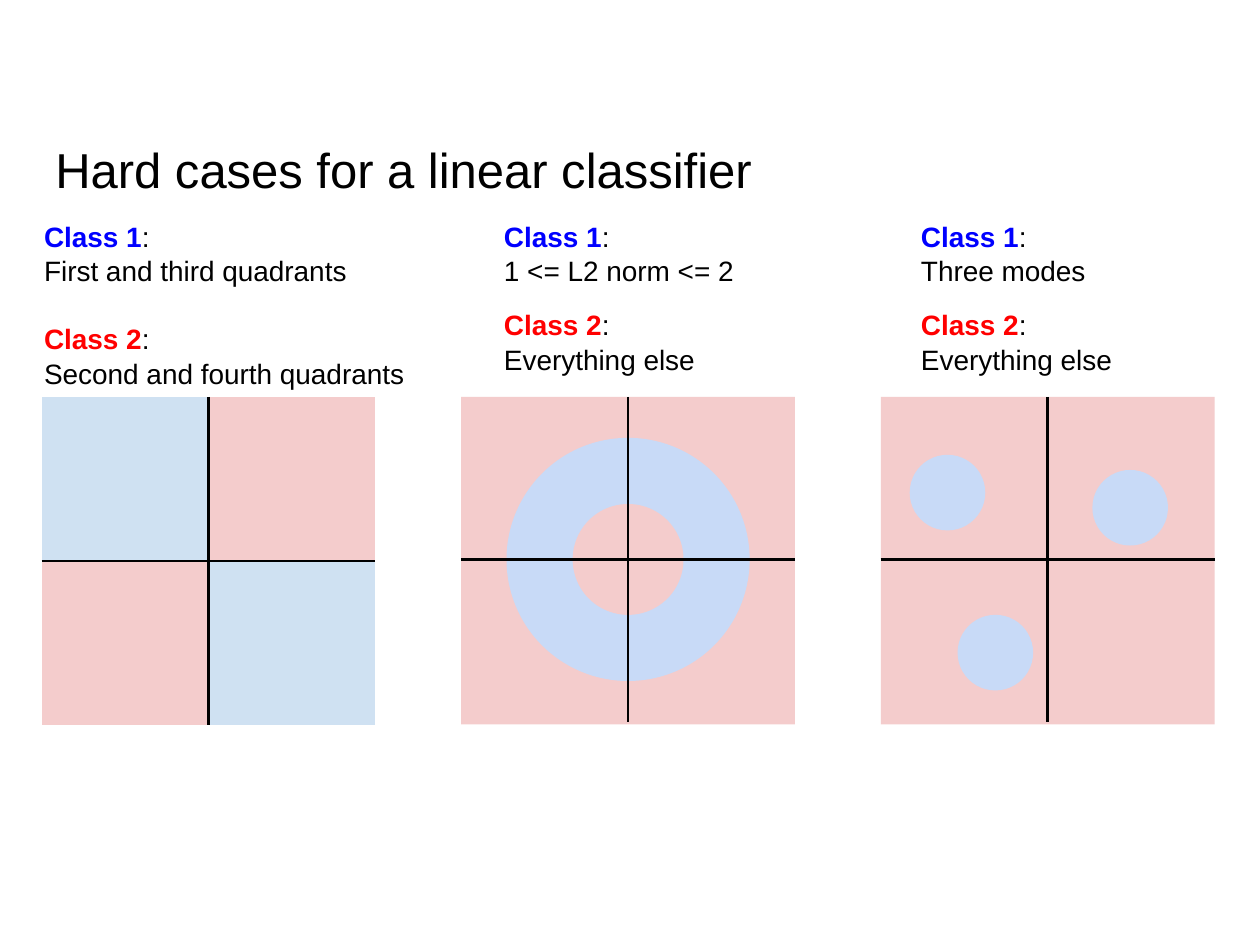
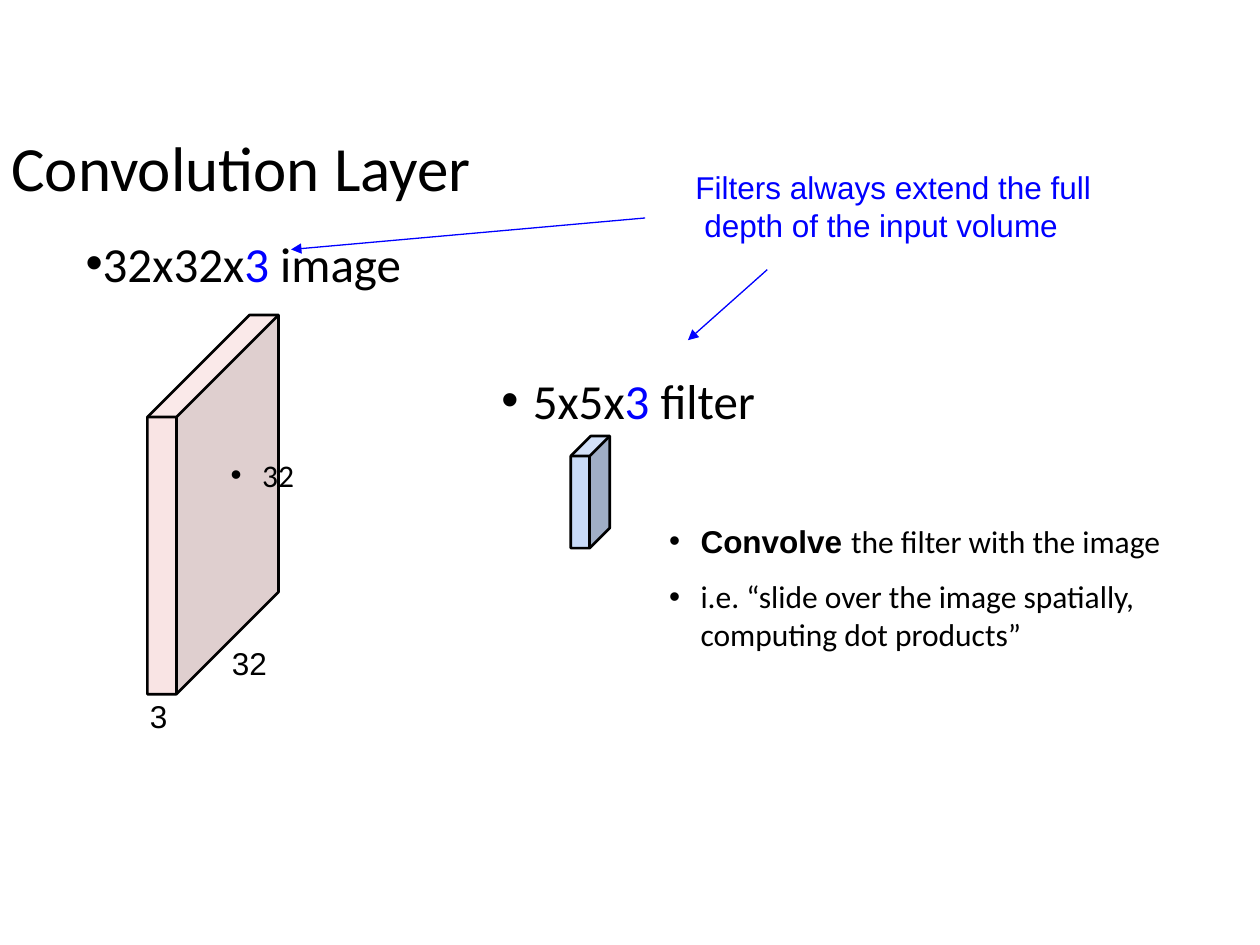
from lxml.etree import SubElement
from pptx import Presentation
from pptx.dml.color import RGBColor
from pptx.enum.shapes import MSO_CONNECTOR as Link, MSO_SHAPE as Preset
from pptx.enum.text import MSO_ANCHOR as Anchor, PP_ALIGN as Align
from pptx.oxml.ns import qn
from pptx.util import Inches, Pt

BLACK = RGBColor(0x00, 0x00, 0x00)
BLUE = RGBColor(0x00, 0x00, 0xFF)
RED = RGBColor(0xFF, 0x00, 0x00)
PINK = RGBColor(0xF4, 0xCC, 0xCC)
PINK_DARK = RGBColor(0xC3, 0xA3, 0xA3)
PINK_LIGHT = RGBColor(0xF6, 0xD6, 0xD6)
SKY = RGBColor(0xC8, 0xDA, 0xF7)
SKY_DARK = RGBColor(0xA0, 0xAE, 0xC6)
SKY_LIGHT = RGBColor(0xD3, 0xE1, 0xF9)
ICE = RGBColor(0xCF, 0xE1, 0xF2)

deck = Presentation()
deck.slide_width, deck.slide_height = Inches(10), Inches(7.5)
COL = deck.slide_width // 100
ROW = deck.slide_height // 75


def write(slide, area, paragraphs, font="Arial", size=16, anchor=Anchor.TOP):
    left, top, width, height = area
    frame = slide.shapes.add_textbox(
        int(left * COL), int(top * ROW), int(width * COL), int(height * ROW)).text_frame
    frame.word_wrap = True
    frame.vertical_anchor = anchor
    frame.margin_left = frame.margin_top = Inches(0.01)
    frame.margin_right = frame.margin_bottom = 0
    for number, (runs, style) in enumerate(paragraphs):
        para = frame.add_paragraph() if number else frame.paragraphs[0]
        para.alignment = style.get("align", Align.LEFT)
        para.line_spacing = style.get("spacing", 1.0)
        if number:
            para.space_before = Pt(style.get("before", 0))
        props = para._p.get_or_add_pPr()
        props.set("marL", str(int(style.get("margin", 0) * COL)))
        if style.get("bullet"):
            props.set("indent", str(int(-2.5 * COL)))
            SubElement(props, qn("a:buFont"), typeface="Arial")
            SubElement(props, qn("a:buChar"), char="•")
        for text, look in runs:
            run = para.add_run()
            run.text = text
            run.font.name = look.get("font", font)
            run.font.size = Pt(look.get("size", size))
            run.font.bold = look.get("bold", False)
            run.font.color.rgb = look.get("color", BLACK)


def draw_line(slide, start, end, color=BLACK, weight=1.5, arrow=False):
    line = slide.shapes.add_connector(
        Link.STRAIGHT, int(start[0] * COL), int(start[1] * ROW),
        int(end[0] * COL), int(end[1] * ROW))
    line.line.color.rgb = color
    line.line.width = Pt(weight)
    if arrow:
        SubElement(line.line._get_or_add_ln(), qn("a:tailEnd"), type="triangle")
    SubElement(line._element.spPr, qn("a:effectLst"))


cases = deck.slides.add_slide(deck.slide_layouts[6])

PANEL_LEFT, PANEL_TOP, PANEL_PITCH = 3.3, 31.5, 33.3
PANEL_WIDTH, PANEL_HEIGHT = 26.5, 26
AXIS_Y = 44.4
ring_left, modes_left = PANEL_LEFT + PANEL_PITCH, PANEL_LEFT + 2 * PANEL_PITCH
ring_x = ring_left + PANEL_WIDTH / 2

for preset, left, top, width, height, color in [
    (Preset.RECTANGLE, ring_left, PANEL_TOP, PANEL_WIDTH, PANEL_HEIGHT, PINK),
    (Preset.OVAL, ring_x - 9.65, AXIS_Y - 9.65, 19.3, 19.3, SKY),
    (Preset.OVAL, ring_x - 4.4, AXIS_Y - 4.4, 8.8, 8.8, PINK),
    (Preset.RECTANGLE, modes_left, PANEL_TOP, PANEL_WIDTH, PANEL_HEIGHT, PINK),
    (Preset.OVAL, 76, 48.8, 6, 6, SKY),
    (Preset.OVAL, 72.2, 36.1, 6, 6, SKY),
    (Preset.OVAL, 86.7, 37.3, 6, 6, SKY),
]:
    region = cases.shapes.add_shape(
        preset, int(left * COL), int(top * ROW), int(width * COL), int(height * ROW))
    region.shadow.inherit = False
    region.fill.solid()
    region.fill.fore_color.rgb = color
    region.line.fill.background()

for left in (ring_left, modes_left):
    middle = left + PANEL_WIDTH / 2
    draw_line(cases, (middle, PANEL_TOP), (middle, 57.3))
    draw_line(cases, (left, AXIS_Y), (left + PANEL_WIDTH, AXIS_Y))

quadrants = cases.shapes.add_table(
    2, 2, int(PANEL_LEFT * COL), int(PANEL_TOP * ROW),
    int(PANEL_WIDTH * COL), int(PANEL_HEIGHT * ROW)).table
quadrants.first_row = quadrants.horz_banding = False
quadrants._tbl.tblPr[0].text = "{2D5ABB26-0587-4C30-8999-92F81FD0307C}"
for row in range(2):
    for column in range(2):
        quadrant = quadrants.cell(row, column)
        for side in (("a:lnR", "a:lnL")[column], ("a:lnB", "a:lnT")[row]):
            border = SubElement(quadrant._tc.get_or_add_tcPr(), qn(side), w=str(Pt(1.5)))
            ink = SubElement(border, qn("a:solidFill"))
            SubElement(ink, qn("a:srgbClr"), val=str(BLACK))
        quadrant.fill.solid()
        quadrant.fill.fore_color.rgb = ICE if row == column else PINK

write(cases, (4.3, 10.9, 57, 4.9), [([("Hard cases for a linear classifier", {})], {})],
      size=28, anchor=Anchor.MIDDLE)

for left, second_top, width, members in [
    (3.4, 25.4, 29.6, ("First and third quadrants", "Second and fourth quadrants")),
    (39.9, 24.3, 19, ("1 <= L2 norm <= 2", "Everything else")),
    (73, 24.3, 16, ("Three modes", "Everything else")),
]:
    for number, (top, color) in enumerate([(17.3, BLUE), (second_top, RED)]):
        heading = [(f"Class {number + 1}", {"bold": True, "color": color}), (":", {})]
        write(cases, (left, top, width, 5.7),
              [(heading, {}), ([(members[number], {})], {"spacing": 1.02, "before": 0.3})])

layer = deck.slides.add_slide(deck.slide_layouts[6])

for left, top, width, height, depth, colors, opacity in [
    (11.7, 25, 2.3, 22, 8.1, (PINK, PINK_DARK, PINK_LIGHT), 52),
    (45.3, 34.6, 1.5, 7.3, 1.6, (SKY, SKY_DARK, SKY_LIGHT), 100),
]:
    front_top, front_right = top + depth, left + width
    back_right, bottom = front_right + depth, front_top + height
    upper_left, corner, lower = (left, front_top), (front_right, front_top), (front_right, bottom)
    lower_left, back_left = (left, bottom), (left + depth, top)
    back, back_low = (back_right, top), (back_right, bottom - depth)
    for points, color in [
        ((upper_left, corner, lower, lower_left), colors[0]),
        ((lower, corner, back, back_low), colors[1]),
        ((corner, upper_left, back_left, back), colors[2]),
        ((upper_left, back_left, back, back_low, lower, lower_left), None),
        ((upper_left, corner, back), None),
    ]:
        corners = [(int(x * COL), int(y * ROW)) for x, y in points]
        pen = layer.shapes.build_freeform(*corners[0])
        pen.add_line_segments(corners[1:], close=len(corners) > 3)
        face = pen.convert_to_shape()
        face.shadow.inherit = False
        if color is None:
            face.fill.background()
            face.line.color.rgb = BLACK
            face.line.width = Pt(1.5)
        else:
            face.fill.solid()
            face.fill.fore_color.rgb = color
            face.line.fill.background()
            tint = face._element.spPr.find(qn("a:solidFill"))[0]
            SubElement(tint, qn("a:alpha"), val=str(opacity * 1000))
    draw_line(layer, corner, lower)

write(layer, (0.8, 10, 40.6, 6.3), [([("Convolution Layer", {})], {})],
      font="Calibri", size=36, anchor=Anchor.MIDDLE)

write(layer, (6.7, 18.4, 86.2, 33.9), [
    ([("32x32x", {}), ("3 ", {"color": BLUE}), ("image", {})],
     {"margin": 0.1, "bullet": True}),
    ([("5x5x", {}), ("3 ", {"color": BLUE}), ("filter", {})],
     {"margin": 2.5, "bullet": True, "before": 44.7, "align": Align.CENTER}),
    ([("32", {"size": 18})], {"margin": 14, "bullet": True, "before": 15.5}),
    ([("Convolve ", {"font": "Arial", "bold": True, "size": 18}),
      ("the filter with the image", {"size": 18})],
     {"margin": 48.8, "bullet": True, "before": 15.8}),
    ([("i.e. “slide over the image spatially, computing dot products”", {"size": 18})],
     {"margin": 48.8, "bullet": True, "before": 10, "spacing": 1.01}),
], font="Calibri", size=28)

write(layer, (55.1, 13.2, 33, 6.3), [
    ([("Filters always extend the full", {"color": BLUE})], {"spacing": 1.01}),
    ([("depth of the input volume", {"color": BLUE})], {"spacing": 1.01, "margin": 0.7}),
], size=18)

for start, end in [((60.9, 21.4), (54.6, 27)), ((51.2, 17.3), (23.1, 19.8))]:
    draw_line(layer, start, end, color=BLUE, weight=0.75, arrow=True)

for left, top, width, side in [(18.3, 51.1, 3.3, "32"), (11.8, 55.3, 1.9, "3")]:
    write(layer, (left, top, width, 2.9), [([(side, {})], {"spacing": Pt(20.9)})], size=18)

deck.save("out.pptx")
